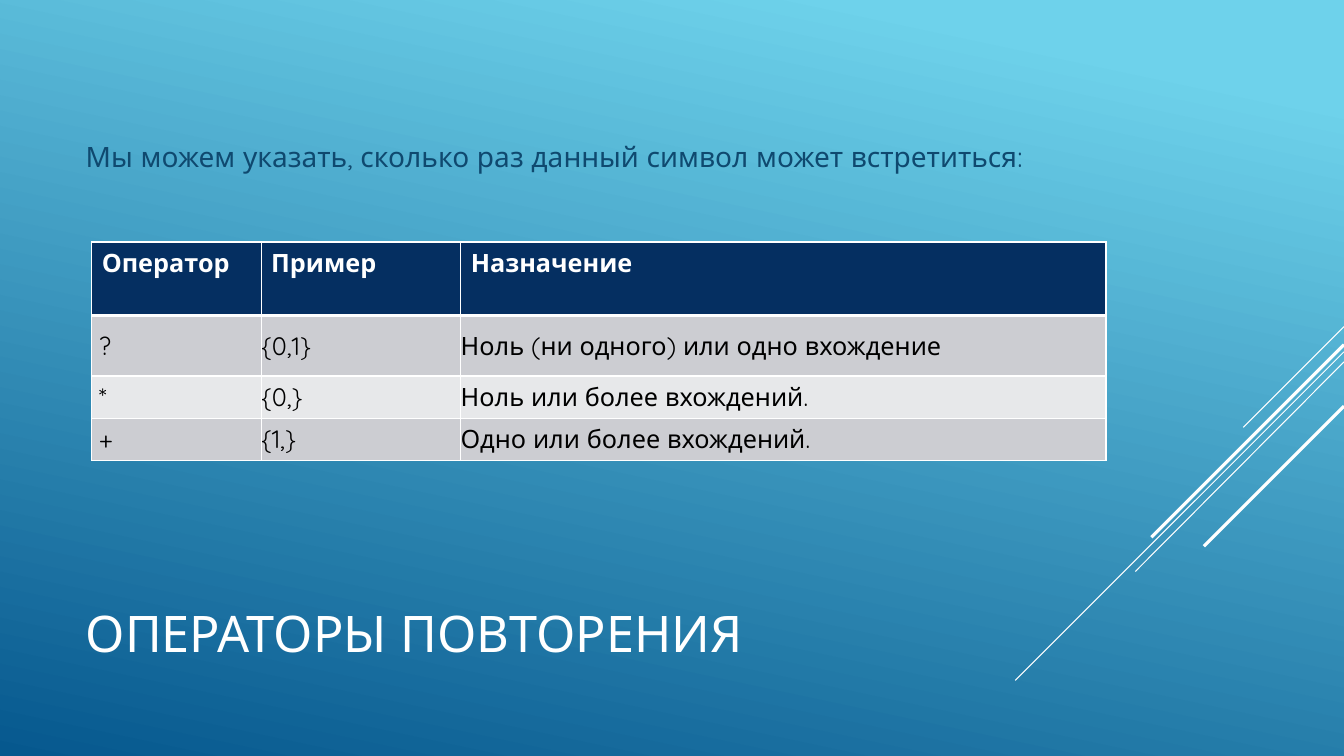
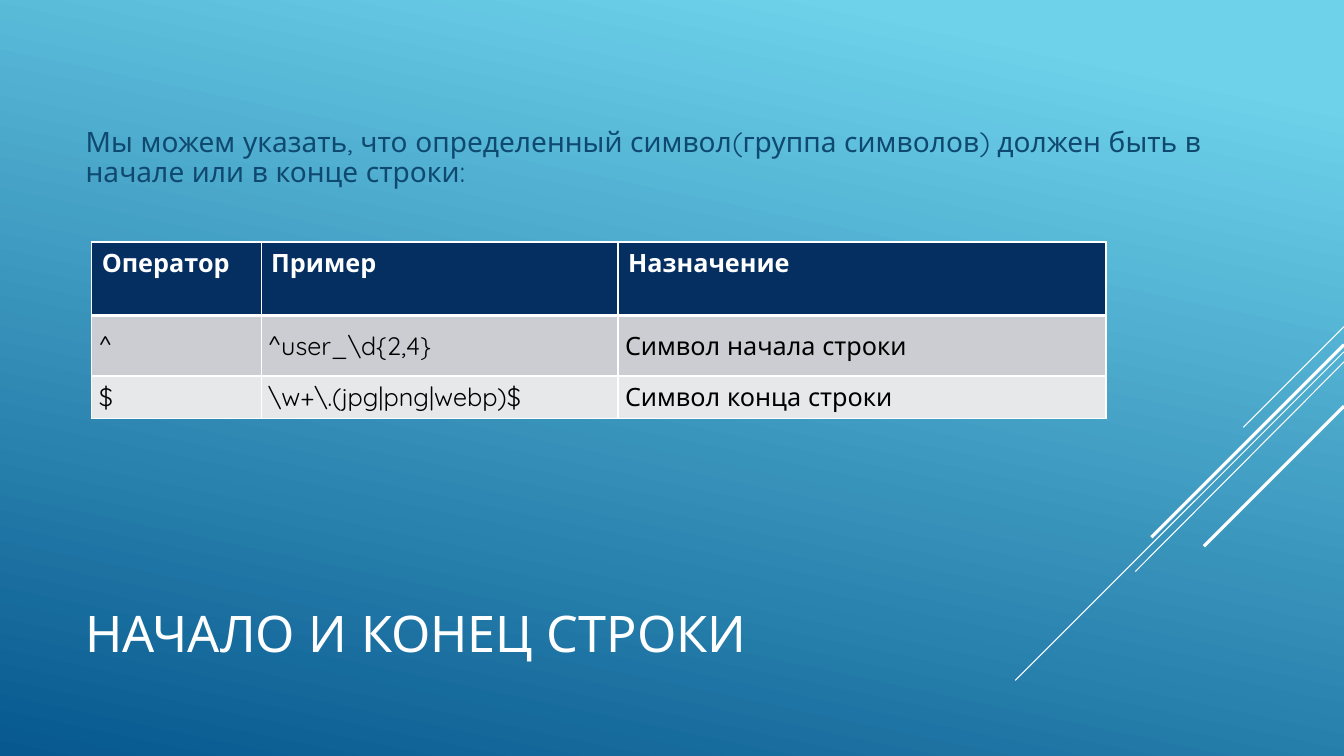
from lxml import etree
from pptx import Presentation
from pptx.dml.color import RGBColor
from pptx.enum.shapes import MSO_CONNECTOR
from pptx.enum.text import MSO_ANCHOR, MSO_AUTO_SIZE, PP_ALIGN
from pptx.oxml.ns import qn
from pptx.util import Emu, Pt

STRAIGHT = MSO_CONNECTOR.STRAIGHT
TOP, MIDDLE = MSO_ANCHOR.TOP, MSO_ANCHOR.MIDDLE
FIXED = MSO_AUTO_SIZE.NONE
LEFT = PP_ALIGN.LEFT

SCALE = 9144
WIDE, HIGH = 1333, 750
FACE = "Quicksand"
WHITE, BLACK, NAVY, INK = "FFFFFF", "000000", "052F61", "0F496F"
BANDS = ("CCCDD2", "E7E8EA")
GLOW = ((0.1, "6ED2EB"), (1, "06588E"))
RAYS = ((324, 1233, 424, 0.75), (349, 1007, 675, 0.75), (359, 1126, 567, 0.75),
        (342, 1142, 533, 2.25), (403, 1194, 542, 2.25))
TITLE_BOX = (75, 549, 933, 165)
BODY_BOX = (75, 75, 1156, 165)
GRID_AT = (91, 240)
HEADS = ("Оператор", "Пример", "Назначение")
HEAD_H, FIRST_H, ROW_H = 73, 60, 42

SLIDES = (
    {"title": "ОПЕРАТОРЫ ПОВТОРЕНИЯ",
     "lead": "Мы можем указать, сколько раз данный символ может встретиться:",
     "cols": (168, 198, 640),
     "pads": (7, 0, 0),
     "rows": (("?", "{0,1}", "Ноль (ни одного) или одно вхождение"),
              ("*", "{0,}", "Ноль или более вхождений."),
              ("+", "{1,}", "Одно или более вхождений."))},
    {"title": "НАЧАЛО И КОНЕЦ СТРОКИ",
     "lead": "Мы можем указать, что определенный символ(группа символов) "
             "должен быть в начале или в конце строки:",
     "cols": (168, 354, 484),
     "pads": (7, 7, 7),
     "rows": (("^", r"^user_\d{2,4}", "Символ начала строки"),
              ("$", r"\w+\.(jpg|png|webp)$", "Символ конца строки"))},
)


def px(num):
    """Turn px into EMU."""
    return Emu(num * SCALE)


def rgb(code):
    """Turn a hex string into a colour."""
    return RGBColor.from_string(code)


def apply(item, vals):
    """Set attributes from a dict."""
    for name, val in vals.items():
        setattr(item, name, val)


def ink(para, size, code, bold=False):
    """Format the text of a paragraph."""
    apply(para.font, {"name": FACE, "size": Pt(size), "bold": bold})
    para.font.color.rgb = rgb(code)


def paint(master):
    """Give the master its gradient."""
    fill = master.background.fill
    fill.gradient()
    fill.gradient_angle = 258
    for stop, (spot, code) in zip(fill.gradient_stops, GLOW):
        stop.position = spot
        stop.color.rgb = rgb(code)


def add_rays(slide):
    """Draw the slanted lines at the right edge."""
    for top, left, low, width in RAYS:
        ray = slide.shapes.add_connector(
            STRAIGHT, px(WIDE), px(top), px(left), px(low))
        ray.line.color.rgb = rgb(WHITE)
        ray.line.width = Pt(width)
        props = ray._element.spPr
        etree.SubElement(props, qn("a:effectLst"))


def fill_holder(shape, box, text, size, code):
    """Place and format a placeholder without bullets."""
    apply(shape, dict(zip(("left", "top", "width", "height"), map(px, box))))
    frame = shape.text_frame
    frame.text = text
    apply(frame, {"word_wrap": True, "auto_size": FIXED,
                  "vertical_anchor": MIDDLE})
    para = frame.paragraphs[0]
    props = para._p.get_or_add_pPr()
    apply(para, {"alignment": LEFT, "line_spacing": 0.9,
                 "space_before": Pt(0), "space_after": Pt(6)})
    for name in ("marL", "indent"):
        props.set(name, "0")
    etree.SubElement(props, qn("a:buNone"))
    ink(para, size, code)


def add_edge(cell, side, width):
    """Add one white cell border."""
    props = cell._tc.get_or_add_tcPr()
    edge = etree.SubElement(props, qn("a:ln" + side), w=str(Pt(width)))
    fill = etree.SubElement(edge, qn("a:solidFill"))
    etree.SubElement(fill, qn("a:srgbClr"), val=WHITE)


def fill_cell(cell, text, row, pad):
    """Write and format one cell of a table."""
    head = row == 0
    cell.text = text
    if head:
        cell.vertical_anchor = TOP
    else:
        apply(cell, {"vertical_anchor": MIDDLE, "margin_left": px(pad),
                     "margin_right": 0, "margin_top": 0, "margin_bottom": 0})
    for side in "LRTB":
        thick = (head and side == "B") or (row == 1 and side == "T")
        add_edge(cell, side, 3 if thick else 1)
    cell.fill.solid()
    cell.fill.fore_color.rgb = rgb(NAVY if head else BANDS[(row - 1) % 2])
    ink(cell.text_frame.paragraphs[0], 18, WHITE if head else BLACK, head)


def add_grid(slide, cols, pads, rows):
    """Add the table of operators."""
    lines = (HEADS, *rows)
    highs = (HEAD_H, FIRST_H) + (ROW_H,) * (len(rows) - 1)
    left, top = GRID_AT
    grid = slide.shapes.add_table(
        len(lines), len(cols), px(left), px(top),
        px(sum(cols)), px(sum(highs))).table
    grid.horz_banding = False
    for col, width in zip(grid.columns, cols):
        col.width = px(width)
    for row, (line, high) in enumerate(zip(lines, highs)):
        grid.rows[row].height = px(high)
        for col, text in enumerate(line):
            fill_cell(grid.cell(row, col), text, row, pads[col])


def add_page(deck, page):
    """Build one slide."""
    slide = deck.slides.add_slide(deck.slide_layouts[1])
    add_rays(slide)
    fill_holder(slide.shapes.title, TITLE_BOX, page["title"], 36, WHITE)
    fill_holder(slide.placeholders[1], BODY_BOX, page["lead"], 20, INK)
    add_grid(slide, page["cols"], page["pads"], page["rows"])


def main():
    """Build and save the deck."""
    deck = Presentation()
    apply(deck, {"slide_width": px(WIDE), "slide_height": px(HIGH)})
    paint(deck.slide_master)
    for page in SLIDES:
        add_page(deck, page)
    deck.save("out.pptx")


if __name__ == "__main__":
    main()
